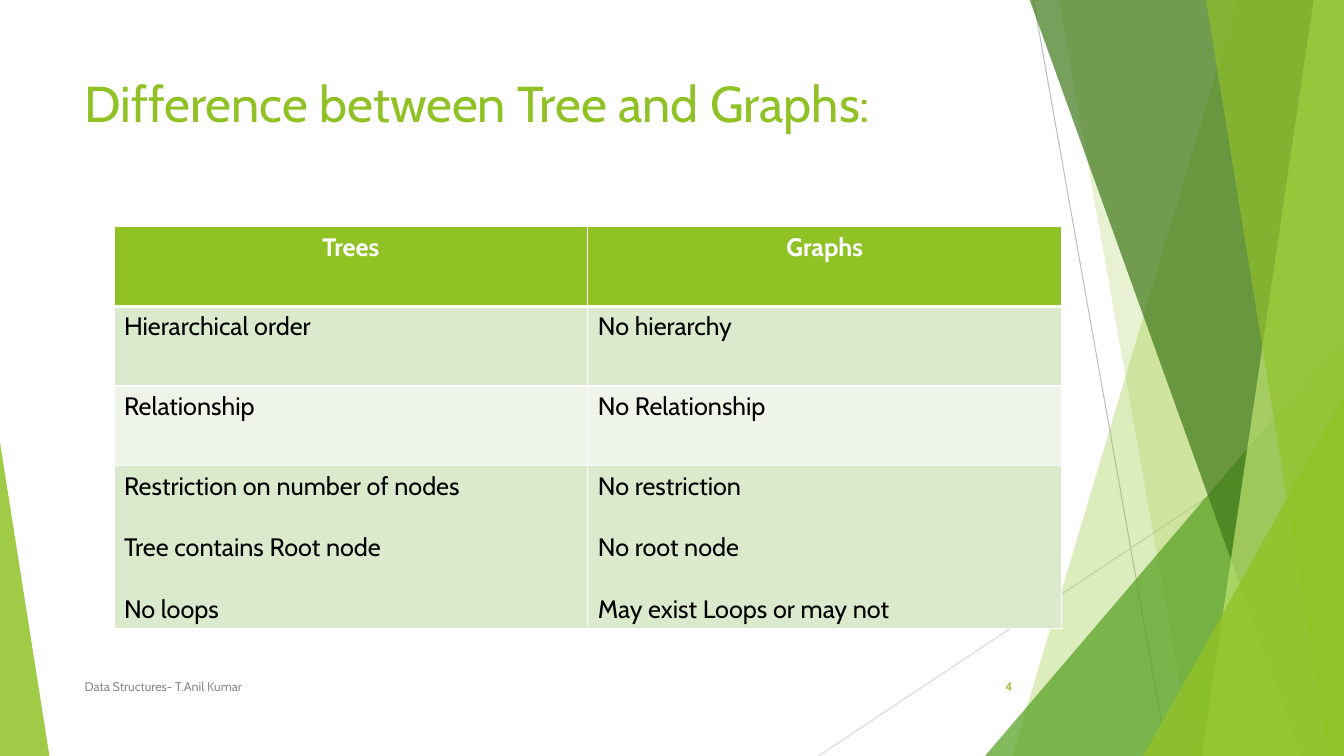
from dataclasses import dataclass

from lxml.etree import SubElement
from pptx import Presentation
from pptx.dml.color import RGBColor
from pptx.enum.shapes import MSO_CONNECTOR, MSO_SHAPE
from pptx.enum.text import MSO_ANCHOR as Anchor, PP_ALIGN as Align
from pptx.oxml.ns import qn
from pptx.util import Inches, Pt

FONT = "Cabin"
WIDTH, HEIGHT = 13.33, 7.5
TOP = -0.01
COLORS = {
    "white": "FFFFFF", "black": "000000", "footer": "8C8C8C",
    "line_dark": "BFBFBF", "line_light": "D9D9D9",
    "lime": "90C226", "green": "54A021", "forest": "3F7819", "pale": "C0E474",
    "band_dark": "DBE9CD", "band_light": "EEF4E8",
}


@dataclass
class Line:
    start: tuple[float, float]
    end: tuple[float, float]
    color: str


@dataclass
class Facet:
    """A panel that runs from its top and bottom left corners to the right edge."""
    top_left: float
    bottom_left: float
    color: str
    alpha: int


@dataclass
class Triangle:
    left: float
    top: float
    width: float
    apex: float
    color: str
    alpha: int


@dataclass
class Label:
    text: str
    box: tuple[float, float, float, float]
    size: int
    color: str
    anchor: Anchor = Anchor.MIDDLE
    align: Align = Align.LEFT


LINES = [
    Line((10.25, 0), (11.58, HEIGHT), "line_dark"),
    Line((WIDTH, 4.03), (8.12, HEIGHT), "line_light"),
]
DECOR = [
    Facet(12.28, 10.04, "lime", 30),
    Facet(10.5, 11.83, "lime", 20),
    Triangle(9.77, 3.33, 3.56, 1, "green", 72),
    Facet(10.21, 12.91, "forest", 70),
    Facet(13.03, 11.92, "pale", 70),
    Facet(11.96, 13.18, "lime", 65),
    Triangle(11.34, 3.93, 1.99, 1, "lime", 80),
    Triangle(0, 4.39, 0.49, 0, "lime", 85),
]
LABELS = [
    Label("Difference between Tree and Graphs:", (0.74, 0.67, 9.4, 0.88), 36, "lime",
          Anchor.TOP),
    Label("Data Structures- T.Anil Kumar", (0.74, 6.61, 6.89, 0.4), 9, "footer"),
    Label("4", (9.39, 6.61, 0.75, 0.4), 9, "lime", align=Align.RIGHT),
]
ROWS = [
    (["Trees"], ["Graphs"]),
    (["Hierarchical order"], ["No hierarchy"]),
    (["Relationship"], ["No Relationship"]),
    (["Restriction on number of nodes", "Tree contains Root node", "No loops"],
     ["No restriction", "No root node", "May exist Loops or may not"]),
]
ROW_HEIGHTS = [0.79, 0.79, 0.79, 1.62]
ROW_FILLS = ["lime", "band_dark", "band_light", "band_dark"]
TABLE_LEFT, TABLE_TOP, COLUMN_WIDTH = 1.13, 2.25, 4.7


def rgb(name: str) -> RGBColor:
    return RGBColor.from_string(COLORS[name])


def add_run(p, text: str, size: int, color: str, bold: bool = False) -> None:
    r = p.add_run()
    r.text = text
    r.font.name = FONT
    r.font.size = Pt(size)
    r.font.bold = bold
    r.font.color.rgb = rgb(color)


def add_line(s, line: Line) -> None:
    points = [Inches(v) for v in (*line.start, *line.end)]
    connector = s.shapes.add_connector(MSO_CONNECTOR.STRAIGHT, *points)
    connector.line.color.rgb = rgb(line.color)
    connector.line.width = Pt(0.75)
    SubElement(connector._element.spPr, qn("a:effectLst"))


def add_decor(s, item: Facet | Triangle) -> None:
    if isinstance(item, Facet):
        corners = [(WIDTH, TOP), (WIDTH, HEIGHT), (item.bottom_left, HEIGHT)]
        builder = s.shapes.build_freeform(Inches(item.top_left), Inches(TOP))
        builder.add_line_segments([(Inches(x), Inches(y)) for x, y in corners])
        sp = builder.convert_to_shape()
    else:
        box = (item.left, item.top, item.width, HEIGHT - item.top)
        sp = s.shapes.add_shape(MSO_SHAPE.ISOSCELES_TRIANGLE, *map(Inches, box))
        sp.adjustments[0] = item.apex
    sp.shadow.inherit = False
    sp.line.fill.background()
    sp.fill.solid()
    sp.fill.fore_color.rgb = rgb(item.color)
    color = sp._element.spPr.find(qn("a:solidFill"))[0]
    SubElement(color, qn("a:alpha"), val=str(item.alpha * 1000))


def add_label(s, label: Label) -> None:
    tf = s.shapes.add_textbox(*map(Inches, label.box)).text_frame
    tf.word_wrap = True
    tf.vertical_anchor = label.anchor
    p = tf.paragraphs[0]
    p.alignment = label.align
    add_run(p, label.text, label.size, label.color)


def add_borders(cell, widths: dict[str, int]) -> None:
    """Draw white cell borders; they must come before the cell's fill."""
    for side, width in widths.items():
        ln = SubElement(cell._tc.get_or_add_tcPr(), qn(f"a:ln{side}"), w=str(Pt(width)))
        fill = SubElement(ln, qn("a:solidFill"))
        SubElement(fill, qn("a:srgbClr"), val=COLORS["white"])


def fill_cell(cell, texts: list[str], row: int) -> None:
    header = row == 0
    add_borders(cell, {"L": 1, "R": 1, "T": 3 if row == 1 else 1, "B": 3 if header else 1})
    cell.fill.solid()
    cell.fill.fore_color.rgb = rgb(ROW_FILLS[row])
    tf = cell.text_frame
    for i, text in enumerate(texts):
        p = tf.add_paragraph() if i else tf.paragraphs[0]
        p.alignment = Align.CENTER if header else Align.LEFT
        p.space_before = Pt(22 if i else 0)
        add_run(p, text, 18, "white" if header else "black", header)


def add_comparison_table(s) -> None:
    columns = len(ROWS[0])
    box = (TABLE_LEFT, TABLE_TOP, COLUMN_WIDTH * columns, sum(ROW_HEIGHTS))
    table = s.shapes.add_table(len(ROWS), columns, *map(Inches, box)).table
    for column in table.columns:
        column.width = Inches(COLUMN_WIDTH)
    for i, (height, row) in enumerate(zip(ROW_HEIGHTS, ROWS)):
        table.rows[i].height = Inches(height)
        for j, texts in enumerate(row):
            fill_cell(table.cell(i, j), texts, i)


def main() -> None:
    prs = Presentation()
    prs.slide_width, prs.slide_height = Inches(WIDTH), Inches(HEIGHT)
    s = prs.slides.add_slide(prs.slide_layouts[6])
    for line in LINES:
        add_line(s, line)
    for item in DECOR:
        add_decor(s, item)
    for label in LABELS:
        add_label(s, label)
    add_comparison_table(s)
    prs.save("out.pptx")


if __name__ == "__main__":
    main()
